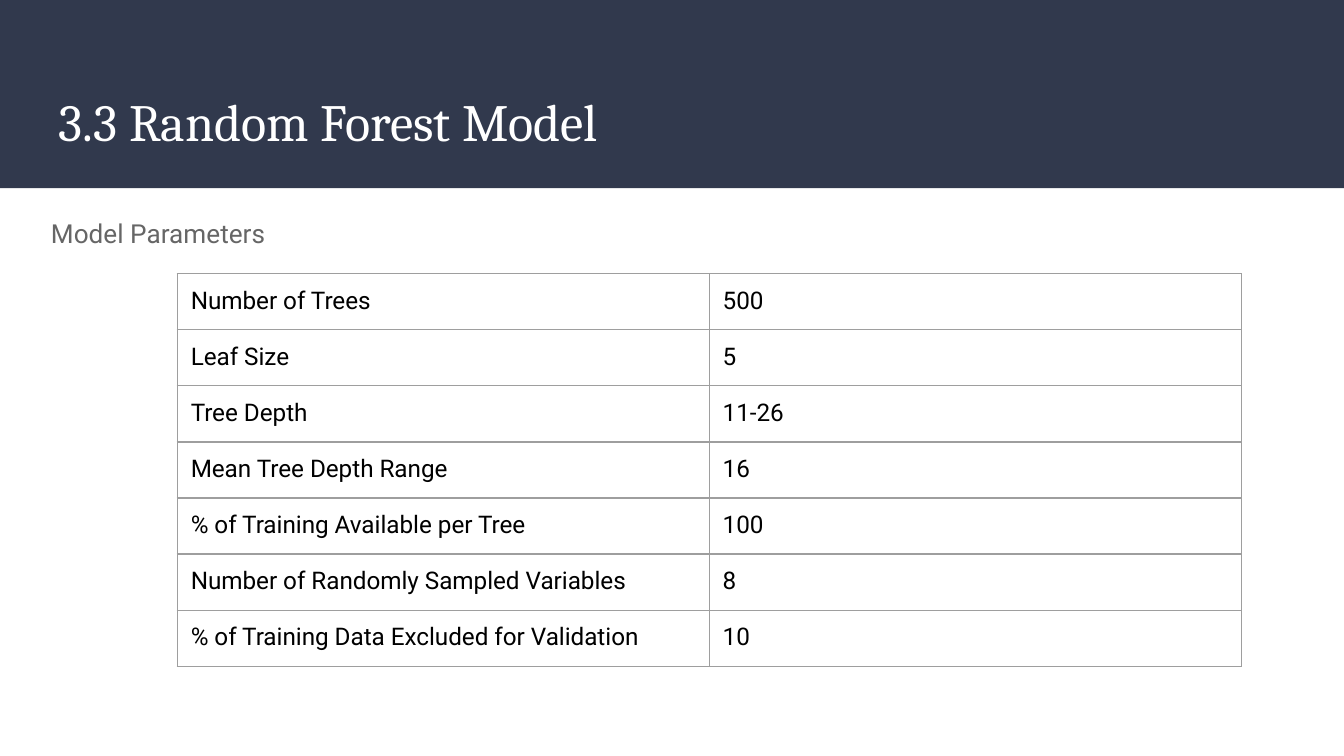
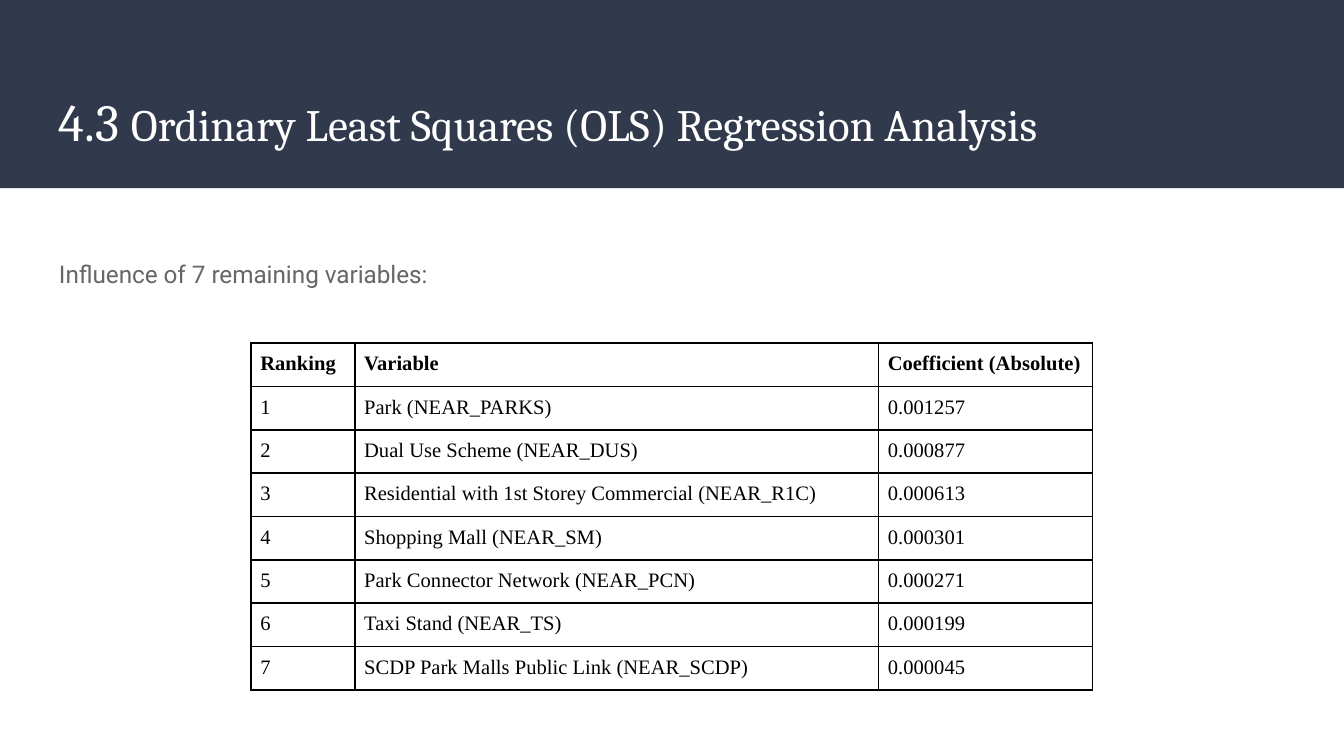
"""Build two slides on model parameters and regression results."""
from lxml.etree import SubElement
from pptx import Presentation
from pptx.dml.color import RGBColor
from pptx.enum.shapes import MSO_SHAPE
from pptx.enum.text import MSO_ANCHOR
from pptx.oxml.ns import qn
from pptx.util import Pt

COLORS = {"band": "31394D", "title": "FFFFFF", "body": "666666",
          "cell": "000000", "grid": "9E9E9E", "rule": "000000"}
SLIDE_WIDTH, SLIDE_HEIGHT, BAND_HEIGHT = 720, 405, 100.8
TITLE_BOX = (24.5, 39.6, 671, 49)
INSET = 7.2

SLIDES = [
    {
        "title": [("3.3 Random Forest Model", 28)],
        "lead": {"text": "Model Parameters", "box": (20.2, 109.4, 131, 68.4), "size": 14},
        "table": {
            "left": 95, "top": 146.6, "columns": (285, 285), "row_height": 30,
            "inset": 7.2, "size": 13, "font": "Roboto", "header": False,
            "border": "grid", "border_width": 0.75,
            "rows": [
                ("Number of Trees", "500"),
                ("Leaf Size", "5"),
                ("Tree Depth", "11-26"),
                ("Mean Tree Depth Range", "16"),
                ("% of Training Available per Tree", "100"),
                ("Number of Randomly Sampled Variables", "8"),
                ("% of Training Data Excluded for Validation", "10"),
            ],
        },
    },
    {
        "title": [("4.3 ", 28), ("Ordinary Least Squares (OLS) Regression Analysis", 24)],
        "lead": {"text": "Influence of 7 remaining variables:",
                 "box": (24.5, 129.6, 219.6, 242), "size": 13, "line_spacing": 1.15},
        "table": {
            "left": 134.5, "top": 183.8, "columns": (55.6, 280.6, 114.6), "row_height": 22.25,
            "inset": 5, "size": 11, "font": "Times New Roman", "header": True,
            "border": "rule", "border_width": 1,
            "rows": [
                ("Ranking", "Variable", "Coefficient (Absolute)"),
                ("1", "Park (NEAR_PARKS)", "0.001257"),
                ("2", "Dual Use Scheme (NEAR_DUS)", "0.000877"),
                ("3", "Residential with 1st Storey Commercial (NEAR_R1C)", "0.000613"),
                ("4", "Shopping Mall (NEAR_SM)", "0.000301"),
                ("5", "Park Connector Network (NEAR_PCN)", "0.000271"),
                ("6", "Taxi Stand (NEAR_TS)", "0.000199"),
                ("7", "SCDP Park Malls Public Link (NEAR_SCDP)", "0.000045"),
            ],
        },
    },
]


def color(name):
    return RGBColor.from_string(COLORS[name])


def write(paragraph, text, size, font="Roboto", fill="body", bold=False, line_spacing=None):
    run = paragraph.add_run()
    run.text = text
    run.font.size = Pt(size)
    run.font.name = font
    run.font.bold = bold
    run.font.color.rgb = color(fill)
    if line_spacing:
        paragraph.line_spacing = line_spacing


def set_margins(target, inset):
    for side in ("left", "top", "right", "bottom"):
        setattr(target, f"margin_{side}", Pt(inset))


def add_text_box(slide, box, anchor=MSO_ANCHOR.TOP):
    frame = slide.shapes.add_textbox(*map(Pt, box)).text_frame
    frame.word_wrap = True
    frame.vertical_anchor = anchor
    set_margins(frame, INSET)
    return frame.paragraphs[0]


def add_band(slide):
    band = slide.shapes.add_shape(MSO_SHAPE.RECTANGLE, 0, 0, Pt(SLIDE_WIDTH), Pt(BAND_HEIGHT))
    band.shadow.inherit = False
    band.fill.solid()
    band.fill.fore_color.rgb = color("band")
    band.line.fill.background()


def set_borders(cell, name, width):
    properties = cell._tc.get_or_add_tcPr()
    for position, side in enumerate(("L", "R", "T", "B")):
        line = SubElement(properties, qn(f"a:ln{side}"), w=str(Pt(width)))
        fill = SubElement(line, qn("a:solidFill"))
        SubElement(fill, qn("a:srgbClr"), val=COLORS[name])
        properties.insert(position, line)


def add_data_table(slide, data):
    rows, columns, height = data["rows"], data["columns"], data["row_height"]
    table = slide.shapes.add_table(
        len(rows), len(columns), Pt(data["left"]), Pt(data["top"]),
        Pt(sum(columns)), Pt(height * len(rows))).table
    table.first_row = data["header"]
    table.horz_banding = False
    for column, width in zip(table.columns, columns):
        column.width = Pt(width)
    for row_index, values in enumerate(rows):
        table.rows[row_index].height = Pt(height)
        for column_index, value in enumerate(values):
            cell = table.cell(row_index, column_index)
            cell.fill.background()
            set_margins(cell, data["inset"])
            set_borders(cell, data["border"], data["border_width"])
            write(cell.text_frame.paragraphs[0], value, size=data["size"], font=data["font"],
                  fill="cell", bold=data["header"] and row_index == 0)


def build_slide(presentation, content):
    slide = presentation.slides.add_slide(presentation.slide_layouts[6])
    add_band(slide)
    title = add_text_box(slide, TITLE_BOX, MSO_ANCHOR.BOTTOM)
    for text, size in content["title"]:
        write(title, text, size=size, font="Cambria", fill="title")
    lead = content["lead"]
    write(add_text_box(slide, lead["box"]), lead["text"], size=lead["size"],
          line_spacing=lead.get("line_spacing"))
    add_data_table(slide, content["table"])


def main():
    presentation = Presentation()
    presentation.slide_width = Pt(SLIDE_WIDTH)
    presentation.slide_height = Pt(SLIDE_HEIGHT)
    for content in SLIDES:
        build_slide(presentation, content)
    presentation.save("out.pptx")


if __name__ == "__main__":
    main()
